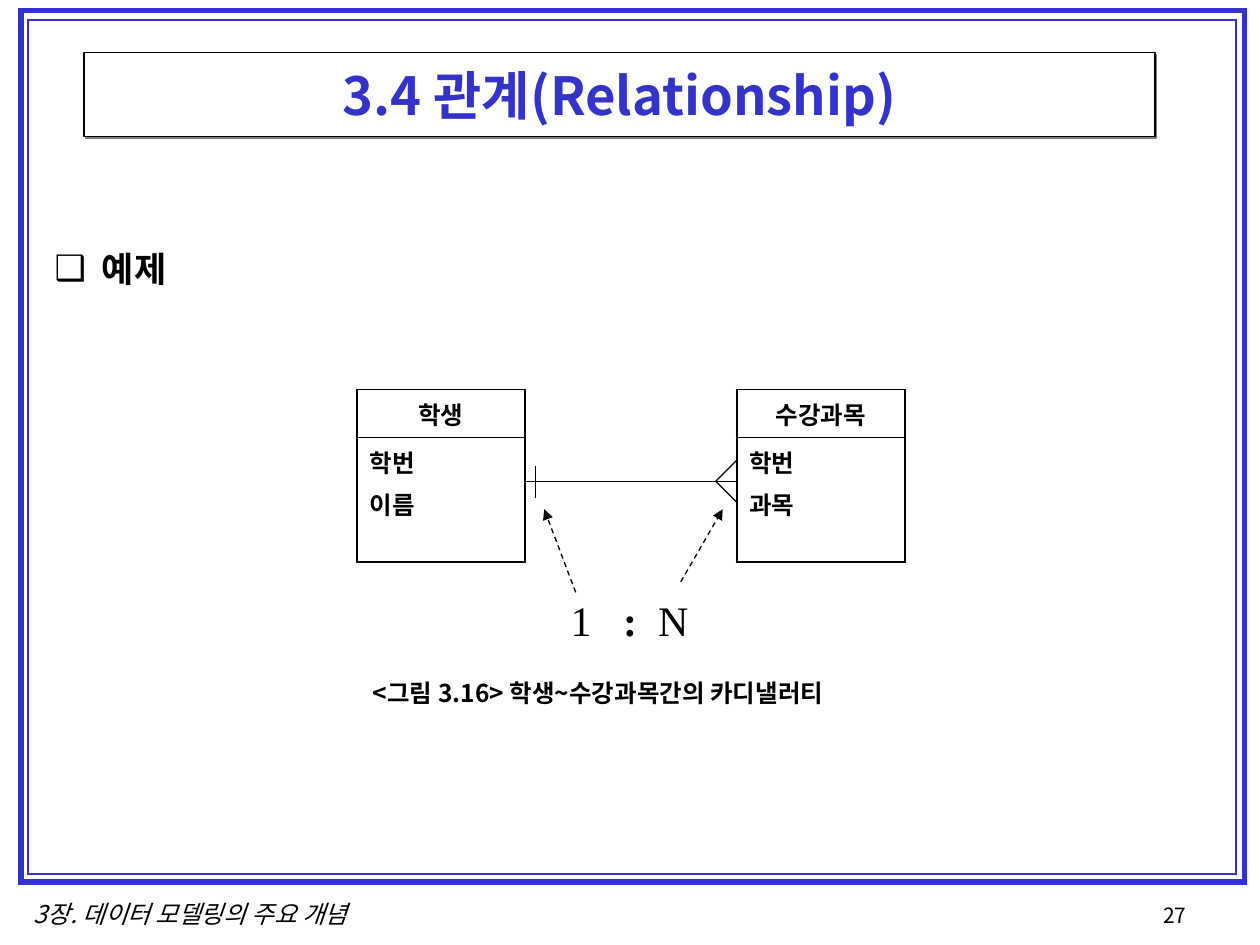
from dataclasses import dataclass

from pptx import Presentation
from pptx.dml.color import RGBColor
from pptx.enum.dml import MSO_LINE_DASH_STYLE as Dash
from pptx.enum.shapes import MSO_CONNECTOR as Connector, MSO_SHAPE as Shape
from pptx.enum.text import MSO_ANCHOR as Anchor, PP_ALIGN as Align
from pptx.oxml import parse_xml
from pptx.oxml.ns import nsdecls, qn
from pptx.util import Pt


@dataclass(frozen=True)
class Theme:
    """Colours, fonts and type sizes of the slide."""
    ink: str = "000000"
    accent: str = "3333CC"
    paper: str = "FFFFFF"
    shadow: str = "808080"
    main_font: str = "Noto Sans CJK KR"
    table_font: str = "Arial"
    ratio_font: str = "Times New Roman"
    title: int = 30
    ratio: int = 24
    heading: int = 20
    label: int = 14
    number: int = 12
    thin: float = 0.75


THEME = Theme()


def rgb(color):
    """Turn a hex string into a colour."""
    return RGBColor.from_string(color)


def element(tag, attributes="", content=""):
    """Build one drawing element."""
    return parse_xml(f"<a:{tag} {nsdecls('a')} {attributes}>{content}</a:{tag}>")


def place(shape, left, top, width, height):
    """Set the position and size of a placeholder in points."""
    shape.left, shape.top = Pt(left), Pt(top)
    shape.width, shape.height = Pt(width), Pt(height)


def write(frame, *lines, size=THEME.label, font=THEME.main_font, color=THEME.ink,
          bold=False, italic=False, align=Align.LEFT, gap=0):
    """Fill a text frame with lines, each a list of spans."""
    for index, spans in enumerate(lines):
        para = frame.paragraphs[0] if index == 0 else frame.add_paragraph()
        para.alignment = align
        para.space_before = Pt(gap if index else 0)
        for text in spans:
            span = para.add_run()
            span.text = text
            span.font.name, span.font.size = font, Pt(size)
            span.font.bold, span.font.italic = bold, italic
            span.font.color.rgb = rgb(color)
            latin = span.font._element.find(qn("a:latin"))
            latin.addnext(element("ea", f'typeface="{THEME.main_font}"'))


def add_text(page, bounds, *spans, wrap=False, **style):
    """Add a text box holding one paragraph."""
    box = page.shapes.add_textbox(*map(Pt, bounds))
    box.text_frame.word_wrap = wrap
    write(box.text_frame, spans, **style)
    return box


def add_outline(page, kind, bounds, color, weight):
    """Add an unfilled preset shape with sharp corners."""
    shape = page.shapes.add_shape(kind, *map(Pt, bounds))
    shape.shadow.inherit = False
    shape.fill.background()
    shape.line.color.rgb = rgb(color)
    shape.line.width = Pt(weight)
    shape.line._get_or_add_ln().append(element("miter", 'lim="800000"'))
    return shape


def add_line(page, start, end, arrow=False):
    """Add a thin line, dashed with an arrowhead when it is a pointer."""
    line = page.shapes.add_connector(Connector.STRAIGHT, *map(Pt, start + end))
    line.line.color.rgb = rgb(THEME.ink)
    line.line.width = Pt(THEME.thin)
    if arrow:
        line.line.dash_style = Dash.DASH
        line.line._get_or_add_ln().append(element("tailEnd", 'type="triangle"'))
    line._element.spPr.append(element("effectLst"))


def add_entity(page, left, name, *fields):
    """Add an entity table with its name above its fields."""
    table = page.shapes.add_table(2, 1, Pt(left), Pt(222.5), Pt(96), Pt(98.5)).table
    table.first_row = table.horz_banding = False
    contents = ((27.5, [name], Align.CENTER), (71, fields, Align.LEFT))
    stroke = f'<a:solidFill><a:srgbClr val="{THEME.ink}"/></a:solidFill>'
    for row, (height, lines, align) in zip(table.rows, contents):
        row.height = Pt(height)
        cell = row.cells[0]
        for side in "LRTB":
            cell._tc.get_or_add_tcPr().append(element(f"ln{side}", f'w="{Pt(1.08)}"', stroke))
        cell.fill.background()
        write(cell.text_frame, *[[line] for line in lines], font=THEME.table_font,
              bold=True, align=align, gap=3.5)


def add_title(page, text):
    """Format the title placeholder as a shadowed box."""
    title = page.shapes.title
    place(title, 48, 30, 612, 48)
    title.fill.solid()
    title.fill.fore_color.rgb = rgb(THEME.paper)
    title.line.color.rgb = rgb(THEME.ink)
    title.line.width = Pt(THEME.thin)
    title._element.spPr.append(element(
        "effectLst", content=f'<a:outerShdw dist="{Pt(1.4)}" dir="2700000">'
                             f'<a:srgbClr val="{THEME.shadow}"/></a:outerShdw>'))
    title.text_frame.vertical_anchor = Anchor.MIDDLE
    write(title.text_frame, [text], size=THEME.title, color=THEME.accent,
          bold=True, align=Align.CENTER)


def add_heading(page, text):
    """Format the body placeholder as a bulleted heading."""
    body = page.placeholders[1]
    place(body, 24, 138, 672, 348)
    props = body.text_frame.paragraphs[0]._p.get_or_add_pPr()
    props.set("marL", str(Pt(27)))
    props.set("indent", str(Pt(-27)))
    props.append(element("buClr", content=f'<a:srgbClr val="{THEME.ink}"/>'))
    props.append(element("buChar", 'char="❑"'))
    write(body.text_frame, [text], size=THEME.heading, bold=True)


def add_ratio(page):
    """Add the cardinality label with its tab stops."""
    box = add_text(page, (319, 336, 96, 36), "1", "\t:", "\tN", wrap=True,
                   size=THEME.ratio, font=THEME.ratio_font)
    para = box.text_frame.paragraphs[0]
    stops = "".join(f'<a:tab pos="{Pt(stop)}" algn="l"/>' for stop in (30, 50))
    para._p.get_or_add_pPr().append(element("tabLst", content=stops))
    para.runs[1].font.bold = True


def main():
    """Build the slide and save it."""
    deck = Presentation()
    deck.slide_width, deck.slide_height = Pt(720), Pt(540)
    page = deck.slides.add_slide(deck.slide_layouts[1])

    add_outline(page, Shape.RECTANGLE, (12, 6, 699, 498), THEME.accent, 3)
    add_outline(page, Shape.RECTANGLE, (16, 11.5, 690.5, 488), THEME.accent, 1)
    add_text(page, (657.5, 512, 73, 24), "27", size=THEME.number)
    add_text(page, (6, 510, 206, 24), "3장. 데이터 모델링의 주요 개념",
             italic=True, align=Align.CENTER)
    add_title(page, "3.4 관계(Relationship)")
    add_heading(page, "예제")

    add_entity(page, 204, "학생", "학번", "이름")
    add_entity(page, 421, "수강과목", "학번", "과목")
    add_line(page, (300, 275), (420.5, 275))
    add_line(page, (306, 266.5), (306, 284.5))
    foot = add_outline(page, Shape.ISOSCELES_TRIANGLE, (403, 269, 24, 12), THEME.ink, THEME.thin)
    foot.rotation = 270
    add_line(page, (329, 338.5), (311, 291), arrow=True)
    add_line(page, (389, 332.5), (413, 291), arrow=True)
    add_ratio(page)
    add_text(page, (206, 384, 285, 24), "<그림 3.16> 학생~수강과목간의 카디낼러티",
             wrap=True, bold=True)
    deck.save("out.pptx")


if __name__ == "__main__":
    main()
